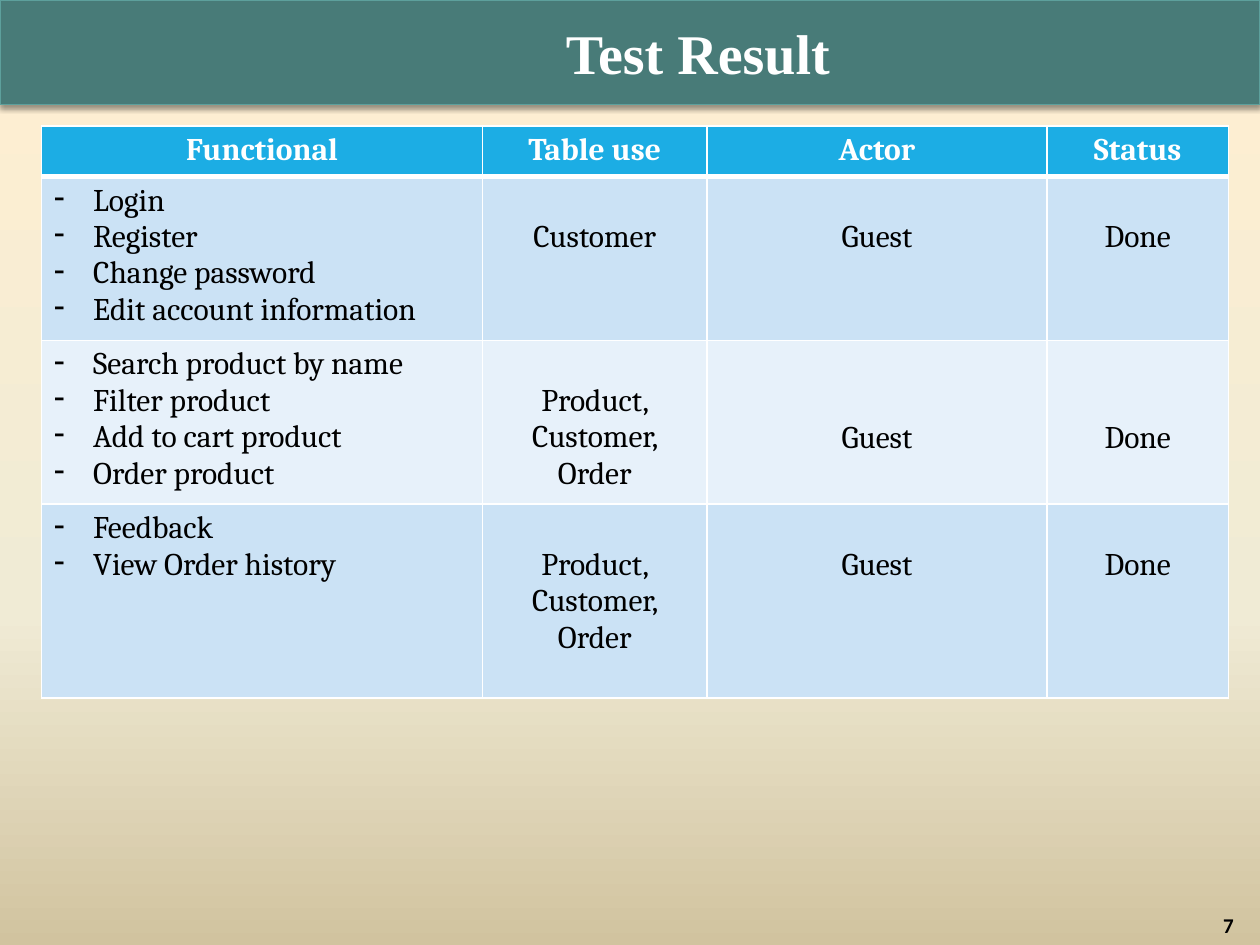
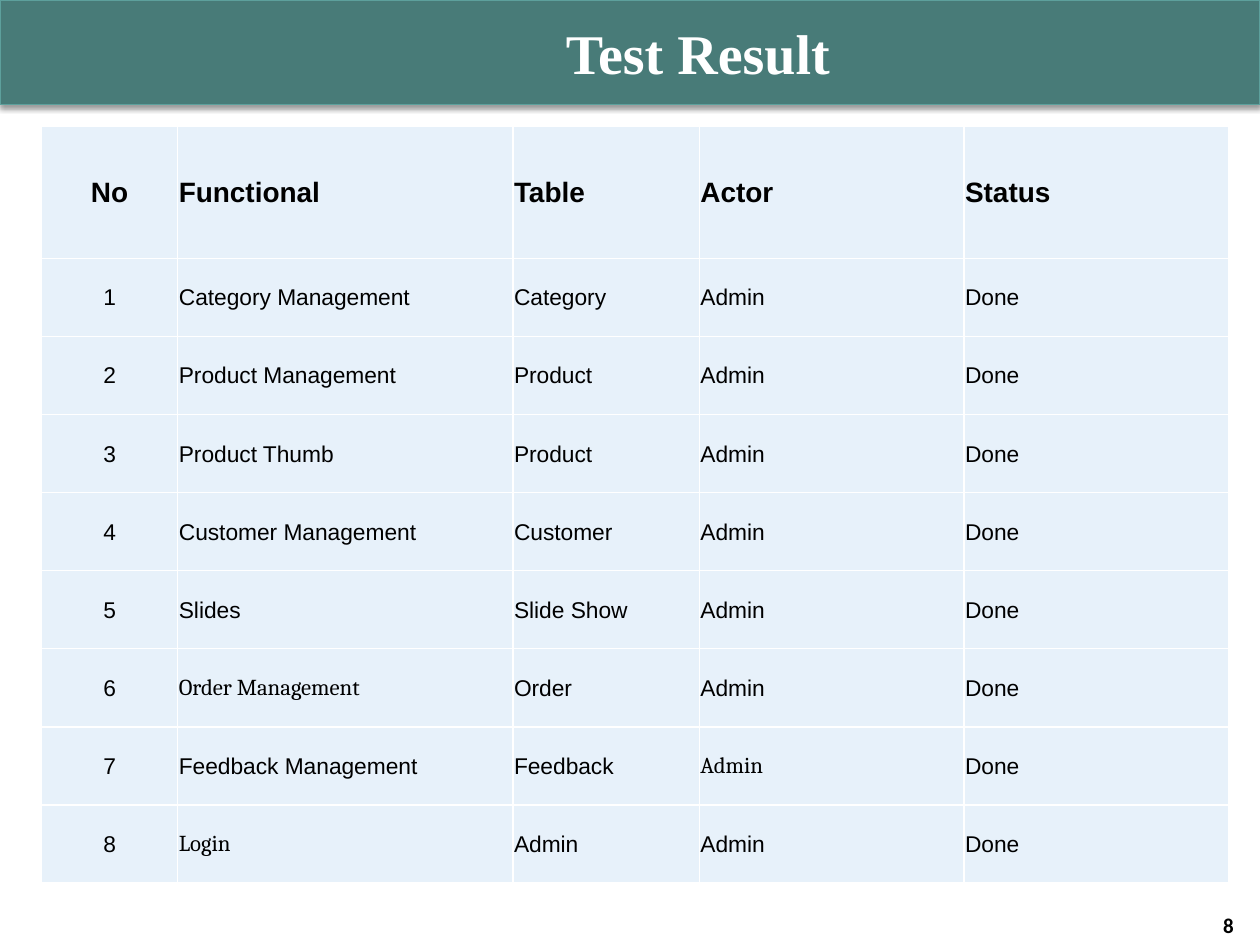
import copy

import lxml.etree
import pptx
import pptx.dml.color
import pptx.enum.shapes
import pptx.enum.text
import pptx.oxml.ns
import pptx.util

Inches = pptx.util.Inches
Pt = pptx.util.Pt
RGBColor = pptx.dml.color.RGBColor
PP_ALIGN = pptx.enum.text.PP_ALIGN
MIDDLE = pptx.enum.text.MSO_ANCHOR.MIDDLE
TOP = pptx.enum.text.MSO_ANCHOR.TOP
qn = pptx.oxml.ns.qn

WHITE = RGBColor(0xFF, 0xFF, 0xFF)
BLACK = RGBColor(0x00, 0x00, 0x00)
BAND = RGBColor(0x48, 0x7B, 0x78)
BAND_LINE = RGBColor(0x5D, 0xA0, 0x9C)
HEADER_BLUE = RGBColor(0x1C, 0xAD, 0xE4)
ROW_BLUE = RGBColor(0xCB, 0xE2, 0xF5)
ROW_PALE = RGBColor(0xE7, 0xF1, 0xFA)
SAND = [(0, RGBColor(0xFF, 0xEF, 0xD1)),
        (0.65, RGBColor(0xF0, 0xEB, 0xD5)),
        (1, RGBColor(0xD1, 0xC3, 0x9F))]

LEFT, WIDTH, TABLE_TOP = 0.33, 9.42, 1
LINE = 0.29  # height of one 18 pt line, in inches


def add_run(p, text, font, size, color, bold=False):
    """Add one formatted run to a paragraph."""
    r = p.add_run()
    r.text = text
    r.font.name = font
    r.font.size = Pt(size)
    r.font.color.rgb = color
    r.font.bold = bold


def style_cell(cell, fill, margins, anchor, top=1, bottom=1):
    """Set white borders, fill, margins (l, t, r, b) and anchor of a cell."""
    tcPr = cell._tc.get_or_add_tcPr()
    for side, width in (("L", 1), ("R", 1), ("T", top), ("B", bottom)):
        ln = lxml.etree.SubElement(tcPr, qn("a:ln" + side), w=str(Pt(width)))
        solid = lxml.etree.SubElement(ln, qn("a:solidFill"))
        lxml.etree.SubElement(solid, qn("a:srgbClr"), val=str(WHITE))
    cell.fill.solid()
    cell.fill.fore_color.rgb = fill
    cell.margin_left, cell.margin_top, cell.margin_right, cell.margin_bottom = (
        Inches(m) for m in margins)
    cell.vertical_anchor = anchor


prs = pptx.Presentation()
prs.slide_width = Inches(10)
prs.slide_height = Inches(7.5)

# Band, title, page number and an empty table on each slide
layouts = [
    (7, [3.5, 1.78, 2.7, 1.44], [0.4, 1.25, 1.26, 1.54]),
    (8, [1.08, 2.66, 1.48, 2.1, 2.1], [1.05] + [0.62] * 8),
]
slides, tables = [], []
for number, widths, heights in layouts:
    s = prs.slides.add_slide(prs.slide_layouts[5])
    slides.append(s)

    band = s.shapes.add_shape(pptx.enum.shapes.MSO_SHAPE.RECTANGLE,
                              0, 0, Inches(10), Inches(0.83))
    band.fill.solid()
    band.fill.fore_color.rgb = BAND
    band.line.color.rgb = BAND_LINE
    band.line.width = Pt(0.75)
    band.shadow.inherit = False
    effects = band.element.spPr.find(qn("a:effectLst"))
    shadow = lxml.etree.SubElement(
        effects, qn("a:outerShdw"), blurRad=str(Pt(3.1)), dist=str(Pt(1.6)),
        dir="5400000", rotWithShape="0")
    clr = lxml.etree.SubElement(shadow, qn("a:srgbClr"), val=str(BLACK))
    lxml.etree.SubElement(clr, qn("a:alpha"), val="38000")

    title = s.shapes.title
    title.element.addprevious(band.element)
    title.left, title.top = Inches(LEFT), Inches(0.08)
    title.width, title.height = Inches(WIDTH), Inches(0.67)
    tf = title.text_frame
    tf.vertical_anchor = MIDDLE
    tf.margin_left = Inches(1.1)
    p = tf.paragraphs[0]
    p.alignment = PP_ALIGN.CENTER
    add_run(p, "Test Result", "Times New Roman", 32, WHITE, True)

    sp = s.shapes.add_textbox(Inches(0.12), Inches(7.25), Inches(9.77), Inches(0.18))
    tf = sp.text_frame
    tf.word_wrap = True
    tf.vertical_anchor = MIDDLE
    p = tf.paragraphs[0]
    p.alignment = PP_ALIGN.RIGHT
    add_run(p, str(number), "Calibri", 12, BLACK, True)

    table = s.shapes.add_table(len(heights), len(widths), Inches(LEFT), Inches(TABLE_TOP),
                               Inches(WIDTH), Inches(sum(heights))).table
    table.first_row = table.horz_banding = False
    for column, width in zip(table.columns, widths):
        column.width = Inches(width)
    for row, height in zip(table.rows, heights):
        row.height = Inches(height)
    tables.append(table)

# Slide 7: sand gradient behind the guest functions
s, table = slides[0], tables[0]
fill = s.background.fill
fill.gradient()
fill.gradient_angle = 270
stop_list = s.element.find(".//" + qn("a:gsLst"))
stop_list.append(copy.deepcopy(stop_list[0]))
for stop, (position, color) in zip(fill.gradient_stops, SAND):
    stop.position = position
    stop.color.rgb = color

for cell, text in zip(table.rows[0].cells, ["Functional", "Table use", "Actor", "Status"]):
    style_cell(cell, HEADER_BLUE, (0.1, 0.05, 0.1, 0.05), TOP, bottom=3)
    p = cell.text_frame.paragraphs[0]
    p.alignment = PP_ALIGN.CENTER
    add_run(p, text, "Cambria", 18, WHITE, True)

# Functions, tables used, and how many lines down each centred cell starts
guest_rows = [
    (["Login", "Register", "Change password", "Edit account information"],
     "Customer", (1, 1, 1)),
    (["Search product by name", "Filter product", "Add to cart product", "Order product"],
     "Product, Customer, Order", (1, 2, 2)),
    (["Feedback", "View Order history"],
     "Product, Customer, Order", (1, 1, 1)),
]
for i, (functions, used, drops) in enumerate(guest_rows, 1):
    color = ROW_BLUE if i % 2 else ROW_PALE
    top = 3 if i == 1 else 1
    cell = table.cell(i, 0)
    style_cell(cell, color, (0.1, 0.05, 0.1, 0.05), TOP, top=top)
    tf = cell.text_frame
    for j, text in enumerate(functions):
        p = tf.add_paragraph() if j else tf.paragraphs[0]
        pPr = p._p.get_or_add_pPr()
        pPr.set("marL", str(Inches(0.31)))
        pPr.set("indent", str(Inches(-0.31)))
        lxml.etree.SubElement(pPr, qn("a:buChar"), char="-")
        add_run(p, text, "Cambria", 18, BLACK)
    for j, (text, drop) in enumerate(zip((used, "Guest", "Done"), drops), 1):
        cell = table.cell(i, j)
        style_cell(cell, color, (0.1, 0.05 + drop * LINE, 0.1, 0.05), TOP, top=top)
        p = cell.text_frame.paragraphs[0]
        p.alignment = PP_ALIGN.CENTER
        add_run(p, text, "Cambria", 18, BLACK)

# Slide 8: admin functions on white
s, table = slides[1], tables[1]
s.background.fill.solid()
s.background.fill.fore_color.rgb = WHITE

admin_functions = [
    ("Category Management", "Category"),
    ("Product Management", "Product"),
    ("Product Thumb", "Product"),
    ("Customer Management", "Customer"),
    ("Slides", "Slide Show"),
    ("Order Management", "Order"),
    ("Feedback Management", "Feedback"),
    ("Login", "Admin"),
]
admin_rows = [("No", "Functional", "Table", "Actor", "Status")]
for i, (function, used) in enumerate(admin_functions, 1):
    admin_rows.append((str(i), function, used, "Admin", "Done"))
cambria_cells = {(6, 1), (7, 3), (8, 1)}

for i, texts in enumerate(admin_rows):
    for j, text in enumerate(texts):
        cell = table.cell(i, j)
        style_cell(cell, ROW_PALE, (0.01, 0.01, 0.01, 0), MIDDLE)
        p = cell.text_frame.paragraphs[0]
        p.alignment = PP_ALIGN.LEFT if j else PP_ALIGN.CENTER
        font = "Cambria" if (i, j) in cambria_cells else "Arial"
        add_run(p, text, font, 13 if i else 16, BLACK, i == 0)

prs.save("out.pptx")
